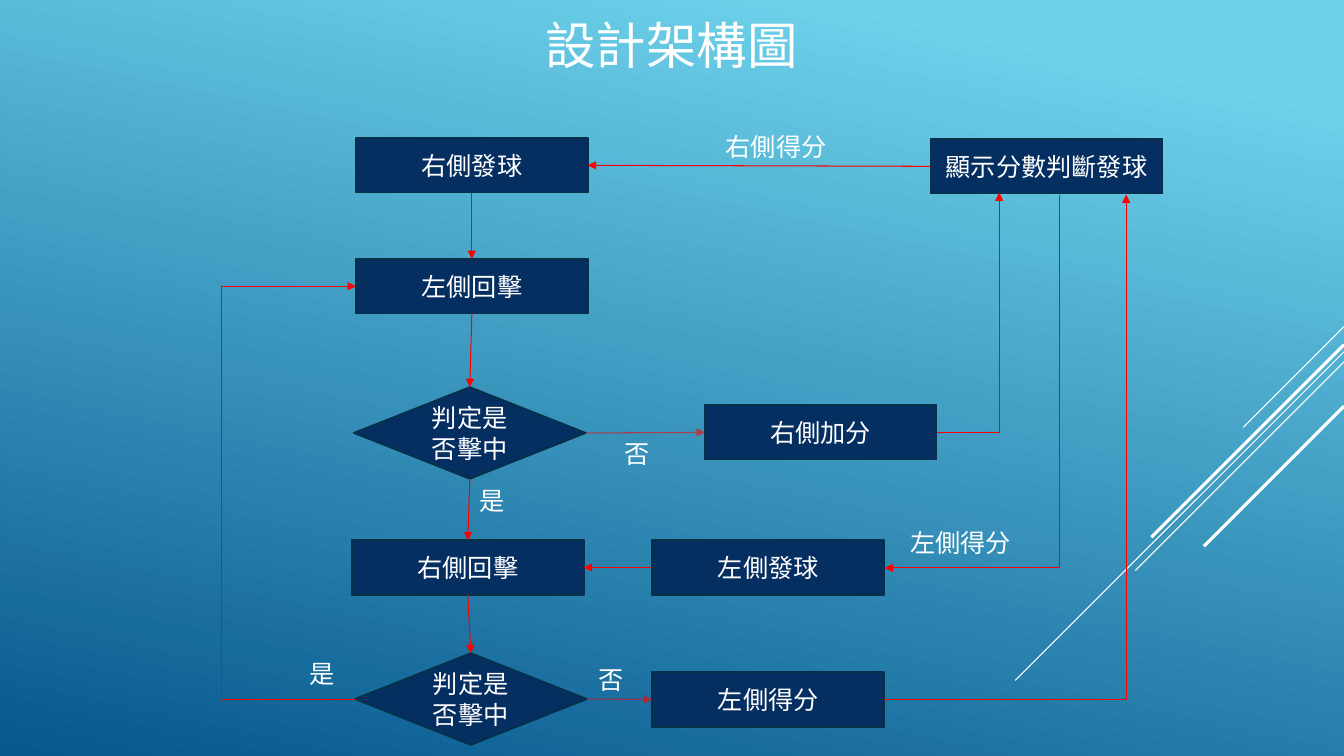
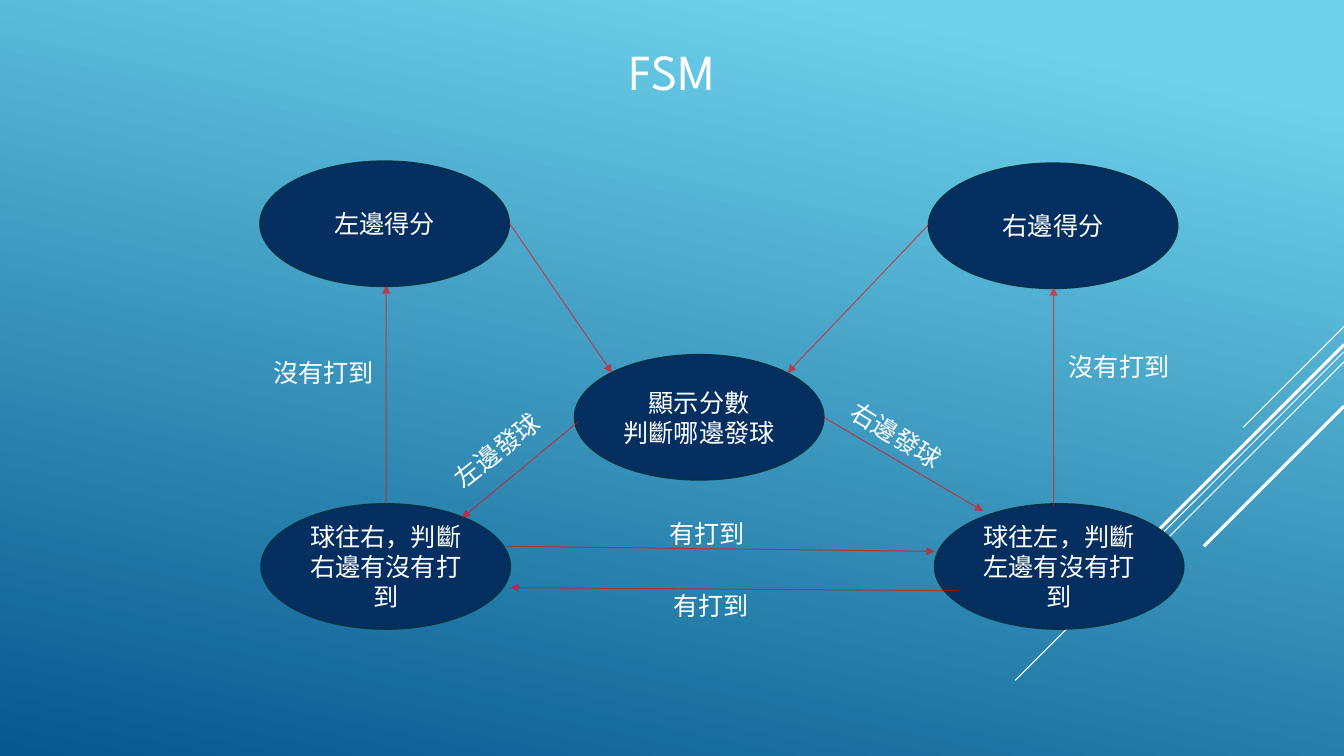
from pptx import Presentation
from pptx import util as u
from pptx.dml.color import RGBColor
from pptx.enum import shapes, text
from pptx.oxml import parse_xml
from pptx.oxml.ns import nsdecls, qn

WHITE = RGBColor(0xFF, 0xFF, 0xFF)
NAVY = RGBColor(0x05, 0x2F, 0x61)
EDGE = RGBColor(0x04, 0x31, 0x48)
RED = RGBColor(0xFF, 0x00, 0x00)
SKY = RGBColor(0x6E, 0xD2, 0xEB)
DEEP = RGBColor(0x06, 0x58, 0x8E)
FONT = "League Spartan"
KIND = shapes.MSO_SHAPE
LINK = shapes.MSO_CONNECTOR
CENTER = text.PP_ALIGN.CENTER
TOP, LEFT, BOTTOM, RIGHT = range(4)


def add_box(page, kind, words, place, size=18, align=CENTER, wrap=True, turn=0):
    area = [u.Inches(value) for value in place]
    if kind is None:
        box = page.shapes.add_textbox(*area)
    else:
        box = page.shapes.add_shape(kind, *area)
        box.shadow.inherit = False
        box.fill.solid()
        box.fill.fore_color.rgb = NAVY
        box.line.color.rgb = EDGE
        box.line.width = u.Pt(1.25)
    box.rotation = turn
    frame = box.text_frame
    frame.text = words
    frame.word_wrap = wrap
    if align == CENTER:
        frame.vertical_anchor = text.MSO_ANCHOR.MIDDLE
    for para in frame.paragraphs:
        para.alignment = align
        for span in para.runs:
            for name, value in {"name": FONT, "size": u.Pt(size)}.items():
                setattr(span.font, name, value)
            span.font.color.rgb = WHITE
    return box


def add_line(page, ends, color=RED, width=0.75, kind=LINK.STRAIGHT, arrow=True, opacity=100):
    line = page.shapes.add_connector(kind, *[u.Inches(value) for value in ends])
    line.line.color.rgb = color
    line.line.width = u.Pt(width)
    properties = line.element.spPr
    stroke = properties.find(qn("a:ln"))
    if opacity < 100:
        tint = stroke.find(".//" + qn("a:srgbClr"))
        tint.append(parse_xml(f'<a:alpha {nsdecls("a")} val="{opacity * 1000}"/>'))
    if arrow:
        stroke.append(parse_xml(f'<a:tailEnd {nsdecls("a")} type="triangle"/>'))
    properties.append(parse_xml(f'<a:effectLst {nsdecls("a")}/>'))
    return line


deck = Presentation()
deck.slide_width, deck.slide_height = u.Inches(13.33), u.Inches(7.5)
master = deck.slide_master
backdrop = master.background.fill
backdrop.gradient()
backdrop.gradient_angle = 258
for stop, color, position in zip(backdrop.gradient_stops, (SKY, DEEP), (0.1, 1)):
    stop.color.rgb = color
    stop.position = position

flow, states = [deck.slides.add_slide(deck.slide_layouts[6]) for _ in range(2)]

for top, reach, width in [(3.24, 1, 0.75), (3.49, 3.26, 0.75), (3.59, 2.07, 0.75),
                          (3.42, 1.91, 2.25), (4.03, 1.39, 2.25)]:
    stripe = add_line(flow, (13.33, top, 13.33 - reach, top + reach), WHITE, width, arrow=False)
    master.shapes.element.append(stripe.element)

for page, words, place in [(flow, "設計架構圖", (0.91, -0.29, 11.5, 1.45)),
                           (states, "FSM", (2, -0.13, 9.33, 1.65))]:
    add_box(page, None, words, place, size=36)

steps = {}
for name, kind, words, left, top in [
    ("right serve", KIND.RECTANGLE, "右側發球", 3.53, 1.37),
    ("left return", KIND.RECTANGLE, "左側回擊", 3.53, 2.57),
    ("left hit", KIND.DIAMOND, "判定是否擊中", 3.51, 3.84),
    ("right return", KIND.RECTANGLE, "右側回擊", 3.49, 5.36),
    ("right hit", KIND.DIAMOND, "判定是否擊中", 3.52, 6.48),
    ("right point", KIND.RECTANGLE, "右側加分", 6.99, 4.02),
    ("left point", KIND.RECTANGLE, "左側得分", 6.47, 6.67),
    ("left serve", KIND.RECTANGLE, "左側發球", 6.47, 5.36),
    ("score", KIND.RECTANGLE, "顯示分數判斷發球", 9.23, 1.38),
]:
    height = 0.91 if kind == KIND.DIAMOND else 0.54
    steps[name] = add_box(flow, kind, words, (left, top, 2.3, height))

for start, start_side, end, end_side, opacity in [
    ("right serve", BOTTOM, "left return", TOP, 100),
    ("left return", BOTTOM, "left hit", TOP, 100),
    ("left hit", BOTTOM, "right return", TOP, 100),
    ("right return", BOTTOM, "right hit", TOP, 100),
    ("left hit", RIGHT, "right point", LEFT, 60),
    ("right hit", RIGHT, "left point", LEFT, 60),
    ("left serve", LEFT, "right return", RIGHT, 100),
    ("score", LEFT, "right serve", RIGHT, 100),
]:
    link = add_line(flow, (0, 0, 1, 1), opacity=opacity)
    link.begin_connect(steps[start], start_side)
    link.end_connect(steps[end], end_side)

for ends, turn in [((9.29, 4.29, 9.91, 1.91), 0), ((8.77, 6.94, 11.17, 1.93), 0),
                   ((7.79, 2.92, 11.49, 4.65), 90)]:
    corner = add_line(flow, ends, kind=LINK.ELBOW)
    corner.element.spPr.find(qn("a:prstGeom")).set("prst", "bentConnector2")
    corner.element.spPr.find(qn("a:xfrm")).set("rot", str(turn * 60000))

loop_start, loop_end, loop_side = 3.52, 3.53, 2.18
loop = add_line(flow, (loop_start, 6.94, loop_end, 2.84), kind=LINK.ELBOW)
bend = round((loop_side - loop_start) / (loop_end - loop_start) * 100000)
guides = loop.element.spPr.find(qn("a:prstGeom")).get_or_add_avLst()
guides.append(parse_xml(f'<a:gd {nsdecls("a")} name="adj1" fmla="val {bend}"/>'))

for words, left, top, width in [
    ("是", 4.66, 4.77, 0.37), ("否", 6.1, 4.3, 0.37), ("是", 2.97, 6.48, 0.37),
    ("否", 5.84, 6.54, 0.37), ("右側得分", 7.1, 1.25, 1.57), ("左側得分", 8.93, 5.18, 1.57),
]:
    add_box(flow, None, words, (left, top, width, 0.4), align=text.PP_ALIGN.LEFT)

for words, left, top in [
    ("顯示分數\v判斷哪邊發球", 5.7, 3.52),
    ("球往左，判斷左邊有沒有打到", 9.27, 5),
    ("球往右，判斷右邊有沒有打到", 2.59, 5),
    ("左邊得分", 2.58, 1.6),
    ("右邊得分", 9.21, 1.62),
]:
    add_box(states, KIND.OVAL, words, (left, top, 2.47, 1.24))

for ends in [
    (5.74, 4.18, 4.58, 5.14), (8.17, 4.14, 9.75, 5.07),
    (5.02, 5.42, 9.27, 5.47), (9.5, 5.86, 5.06, 5.83),
    (3.83, 5, 3.83, 2.83), (10.45, 5.02, 10.45, 2.85),
    (5.05, 2.21, 6.07, 3.7), (9.21, 2.23, 7.81, 3.7),
]:
    add_line(states, ends, opacity=60)

for words, left, top, width, turn in [
    ("左邊發球", 4.33, 4.26, 1.21, 321.6), ("右邊發球", 8.29, 4.12, 1.21, 31.5),
    ("有打到", 6.54, 5.09, 0.96, 0), ("有打到", 6.58, 5.81, 0.96, 0),
    ("沒有打到", 2.61, 3.5, 1.21, 0), ("沒有打到", 10.5, 3.44, 1.21, 0),
]:
    add_box(states, None, words, (left, top, width, 0.4),
            align=text.PP_ALIGN.LEFT, wrap=False, turn=turn)

deck.save("out.pptx")
